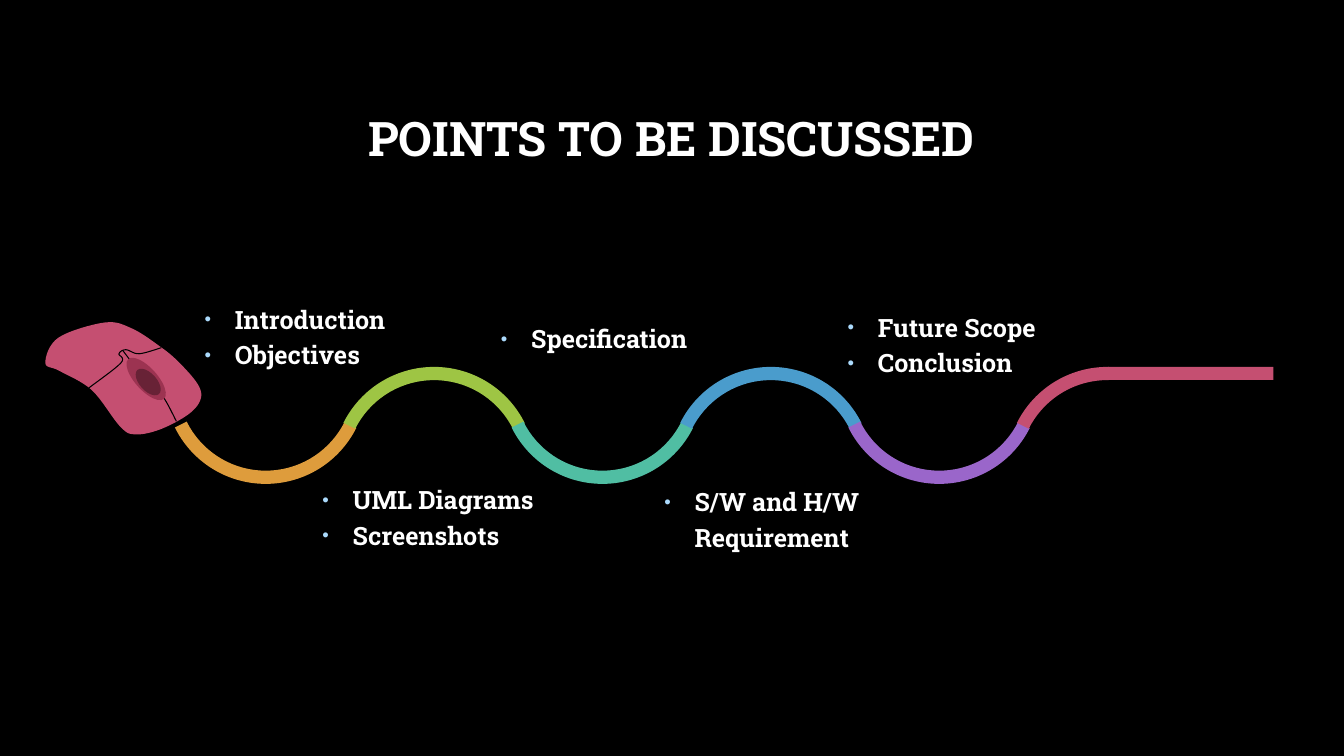
from lxml import etree
from pptx import Presentation
from pptx.dml.color import RGBColor
from pptx.enum.shapes import MSO_SHAPE
from pptx.enum.text import MSO_ANCHOR, PP_ALIGN
from pptx.oxml.ns import qn
from pptx.util import Inches, Pt

BLOCK_ARC = MSO_SHAPE.BLOCK_ARC
OVAL = MSO_SHAPE.OVAL
RECTANGLE = MSO_SHAPE.RECTANGLE
MIDDLE = MSO_ANCHOR.MIDDLE
CENTER = PP_ALIGN.CENTER

FONT = "Roboto Slab"
PINK = "C54F71"
BLACK = "000000"
CURVE_STEPS = 8


def paint(shape, color):
    """Give a shape a plain fill with no line or shadow."""
    shape.shadow.inherit = False
    shape.fill.solid()
    shape.fill.fore_color.rgb = RGBColor.from_string(color)
    shape.line.fill.background()


def style_text(paragraph, size):
    paragraph.line_spacing = 0.9
    paragraph.font.name = FONT
    paragraph.font.size = Pt(size)
    paragraph.font.bold = True
    paragraph.font.color.rgb = RGBColor.from_string("FFFFFF")


presentation = Presentation()
presentation.slide_width = Inches(13.33)
presentation.slide_height = Inches(7.5)
slide = presentation.slides.add_slide(presentation.slide_layouts[6])
slide.background.fill.solid()
slide.background.fill.fore_color.rgb = RGBColor.from_string(BLACK)

# Title
title = slide.shapes.add_textbox(Inches(1), Inches(0.67), Inches(11.32), Inches(1.45))
title.text_frame.word_wrap = True
title.text_frame.vertical_anchor = MIDDLE
title_paragraph = title.text_frame.paragraphs[0]
title_paragraph.text = "POINTS TO BE DISCUSSED"
title_paragraph.alignment = CENTER
style_text(title_paragraph, 34)

# Computer mouse: a smooth curve runs through the points of the body and its seams
body = [(0.45, 3.6), (0.58, 3.35), (1.04, 3.2), (1.31, 3.26), (1.59, 3.44),
        (1.77, 3.59), (1.96, 3.81), (1.99, 3.96), (1.87, 4.11), (1.59, 4.26),
        (1.34, 4.31), (1.19, 4.23), (0.91, 3.87), (0.59, 3.68)]
cross_seam = [(0.88, 3.85), (1.2, 3.6), (1.18, 3.51), (1.25, 3.47),
              (1.38, 3.51), (1.6, 3.45)]
button_seam = [(1.22, 3.48), (1.37, 3.67), (1.6, 3.91), (1.75, 4.18)]
for knots in (body, cross_seam, button_seam):
    closed = knots is body
    if closed:
        guides = [knots[-1], *knots, *knots[:2]]
    else:
        guides = [knots[0], *knots, knots[-1]]
    points = [knots[0]]
    for before, start, end, after in zip(guides, guides[1:], guides[2:], guides[3:]):
        for step in range(1, CURVE_STEPS + 1):
            t = step / CURVE_STEPS
            points.append(tuple(
                b + ((c - a) * t + (2 * a - 5 * b + 4 * c - d) * t**2
                     + (3 * b - a - 3 * c + d) * t**3) / 2
                for a, b, c, d in zip(before, start, end, after)))
    outline = [(Inches(x), Inches(y)) for x, y in points]
    builder = slide.shapes.build_freeform(*outline[0])
    builder.add_line_segments(outline[1:], close=closed)
    curve = builder.convert_to_shape()
    paint(curve, PINK)
    if not closed:
        curve.fill.background()
        curve.line.color.rgb = RGBColor.from_string(BLACK)
        curve.line.width = Pt(0.75)

# Mouse wheel: center, length, width, color
for center_x, center_y, length, width, color in [
        (1.45, 3.76, 0.53, 0.22, "9C3351"), (1.47, 3.79, 0.32, 0.17, "682236")]:
    wheel = slide.shapes.add_shape(
        OVAL, Inches(center_x - length / 2), Inches(center_y - width / 2),
        Inches(length), Inches(width))
    wheel.rotation = 48
    paint(wheel, color)

# Wavy cable: arcs alternate between hanging and standing
ARC_SIZE, ARC_STEP = 2.01, 1.67
FULL_ARC_END, HALF_ARC_END = 200.21, 162.43
cable_colors = ["DE9C3C", "9EC544", "50BEA3", "4A9CCC", "9A66CA", PINK]
for index, color in enumerate(cable_colors):
    hanging = index % 2 == 0
    arc = slide.shapes.add_shape(
        BLOCK_ARC, Inches(1.63 + index * ARC_STEP), Inches(2.79 if hanging else 3.64),
        Inches(ARC_SIZE), Inches(ARC_SIZE))
    arc.rotation = 180 if hanging else 0
    arc.adjustments[0] = 123.99
    arc.adjustments[1] = HALF_ARC_END if color == PINK else FULL_ARC_END
    arc.adjustments[2] = 0.065
    paint(arc, color)
cable_end = slide.shapes.add_shape(
    RECTANGLE, Inches(10.99), Inches(3.64), Inches(1.64), Inches(0.13))
paint(cable_end, PINK)

# Topics: left, top, width, lines as (text, has bullet)
topics = [
    (1.93, 3, 2.21, [("Introduction", True), ("Objectives", True)]),
    (3.1, 4.79, 2.43, [("UML Diagrams", True), ("Screenshots", True)]),
    (4.87, 3.19, 2.19, [("Specification", True)]),
    (8.31, 3.08, 2.74, [("Future Scope", True), ("Conclusion", True)]),
    (6.49, 4.81, 3.26, [("S/W and H/W", True), ("Requirement", False)]),
]
for left, top, width, lines in topics:
    box = slide.shapes.add_textbox(
        Inches(left), Inches(top), Inches(width), Inches(0.79))
    frame = box.text_frame
    frame.word_wrap = True
    for index, (text, has_bullet) in enumerate(lines):
        paragraph = frame.paragraphs[0] if index == 0 else frame.add_paragraph()
        paragraph.text = text
        properties = paragraph._p.get_or_add_pPr()
        properties.set("marL", str(Inches(0.3)))
        properties.set("indent", str(Inches(-0.3 if has_bullet else 0)))
        if has_bullet:
            bullet_color = etree.SubElement(properties, qn("a:buClr"))
            etree.SubElement(bullet_color, qn("a:srgbClr"), val="ABDAFC")
            etree.SubElement(properties, qn("a:buSzPct"), val="73000")
            etree.SubElement(properties, qn("a:buFont"), typeface="Arial")
            etree.SubElement(properties, qn("a:buChar"), char="•")
        if index > 0:
            paragraph.space_before = Pt(6)
        style_text(paragraph, 18)

presentation.save("out.pptx")
